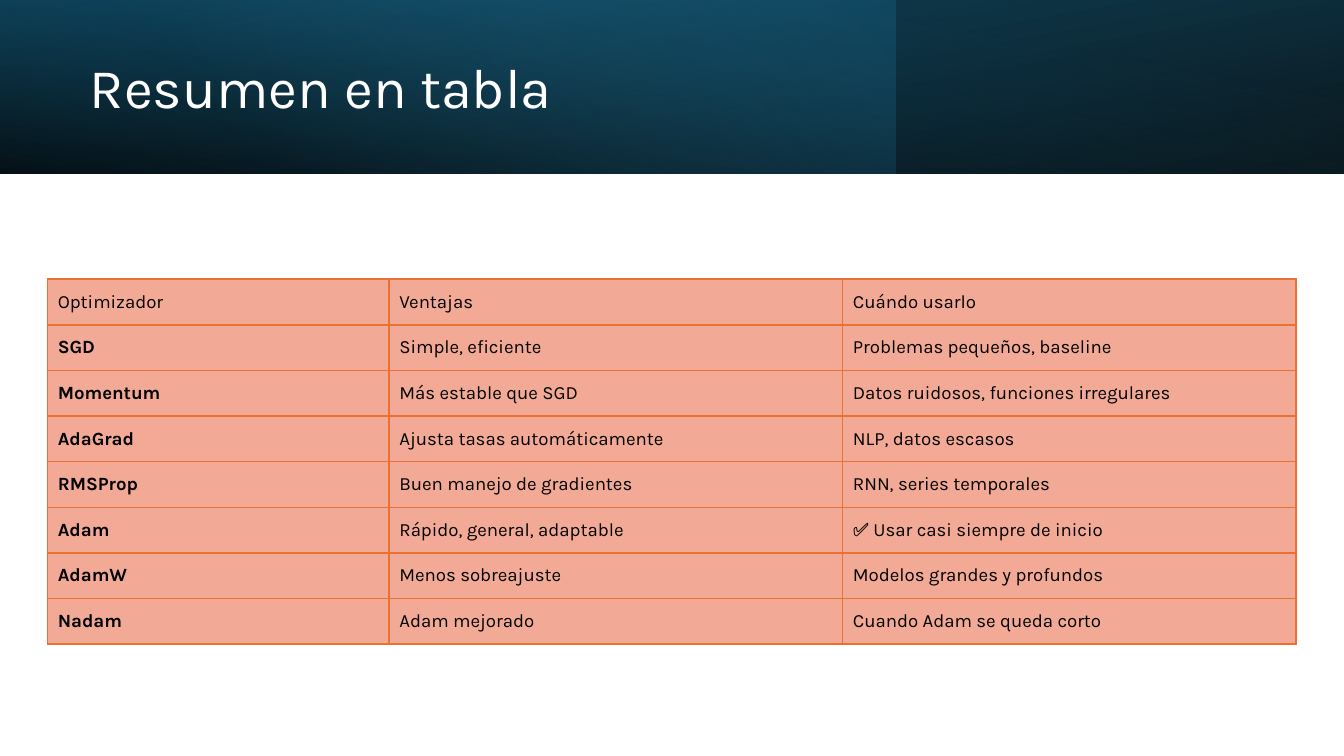
from lxml import etree
from pptx import Presentation
from pptx.dml.color import RGBColor
from pptx.enum.shapes import MSO_SHAPE
from pptx.enum.text import MSO_ANCHOR, MSO_AUTO_SIZE, PP_ALIGN
from pptx.oxml import parse_xml
from pptx.oxml.ns import nsdecls, qn
from pptx.util import Pt

FONT = "Karla"
ROWS = [
    ("Optimizador", "Ventajas", "Cuándo usarlo"),
    ("SGD", "Simple, eficiente", "Problemas pequeños, baseline"),
    ("Momentum", "Más estable que SGD", "Datos ruidosos, funciones irregulares"),
    ("AdaGrad", "Ajusta tasas automáticamente", "NLP, datos escasos"),
    ("RMSProp", "Buen manejo de gradientes", "RNN, series temporales"),
    ("Adam", "Rápido, general, adaptable", "✅ Usar casi siempre de inicio"),
    ("AdamW", "Menos sobreajuste", "Modelos grandes y profundos"),
    ("Nadam", "Adam mejorado", "Cuando Adam se queda corto"),
]


def color(code):
    return RGBColor.from_string(code)


def style(para, size, code, bold=False):
    font = para.font
    font.name, font.size, font.bold = FONT, Pt(size), bold
    font.color.rgb = color(code)


def layer(slide, box, stops, angle, turn=0, flip=False):
    """Add a rectangle with a gradient of (position, colour, opacity) stops."""
    shape = slide.shapes.add_shape(MSO_SHAPE.RECTANGLE, *map(Pt, box))
    shape.shadow.inherit = False
    shape.line.fill.background()
    shape.fill.background()
    shape.rotation = turn
    props = shape.element.spPr
    if flip:
        props.find(qn("a:xfrm")).set("flipH", "1")
    marks = "".join(
        f'<a:gs pos="{pos * 1000}"><a:srgbClr val="{code}">'
        f'<a:alpha val="{alpha * 1000}"/></a:srgbClr></a:gs>'
        for pos, code, alpha in stops)
    props.replace(props.find(qn("a:noFill")), parse_xml(
        f'<a:gradFill {nsdecls("a")} rotWithShape="1"><a:gsLst>{marks}</a:gsLst>'
        f'<a:lin ang="{angle * 60000}" scaled="0"/></a:gradFill>'))


def header(slide, box, text):
    left, top, width, height = box

    # Gradient layers
    layer(slide, box, [(0, "000000", 96), (100, "104862", 100)], 100, 180, True)
    layer(slide, (left, top, width * 2 / 3, height),
          [(0, "156082", 41), (74, "46B1E1", 0)], 140)
    layer(slide, box, [(0, "000000", 63), (78, "156082", 15)], 260, flip=True)

    # Title, brought in front of the layers
    title = slide.shapes.title
    title.left, title.top = Pt(left + 41), Pt(top + 14.4)
    title.width, title.height = Pt(417), Pt(68.4)
    frame = title.text_frame
    frame.text = text
    frame.word_wrap = True
    frame.auto_size = MSO_AUTO_SIZE.NONE
    frame.vertical_anchor = MSO_ANCHOR.MIDDLE
    para = frame.paragraphs[0]
    para.alignment = PP_ALIGN.LEFT
    para.line_spacing = 0.9
    para.space_after = Pt(6)
    style(para, 30, "FFFFFF")
    slide.shapes.element.append(title.element)


def border(cell, code):
    props = cell._tc.get_or_add_tcPr()
    for spot, side in enumerate(("lnL", "lnR", "lnT", "lnB")):
        line = etree.Element(qn(f"a:{side}"), w=str(Pt(1)))
        fill = etree.SubElement(line, qn("a:solidFill"))
        etree.SubElement(fill, qn("a:srgbClr"), val=code)
        props.insert(spot, line)


def grid(slide, box, rows, shares):
    left, top, width, height = box
    table = slide.shapes.add_table(
        len(rows), len(shares), *map(Pt, box)).table
    table.first_row = table.horz_banding = False
    for col, share in zip(table.columns, shares):
        col.width = Pt(width * share / sum(shares))
    for row, texts in zip(table.rows, rows):
        row.height = Pt(height / len(rows))
        for col, (cell, text) in enumerate(zip(row.cells, texts)):
            cell.text = text
            cell.vertical_anchor = MSO_ANCHOR.MIDDLE
            cell.margin_left = cell.margin_right = Pt(5.6)
            cell.margin_top = cell.margin_bottom = Pt(2.8)
            cell.fill.solid()
            cell.fill.fore_color.rgb = color("F2AA96")
            border(cell, "E97132")
            # Optimizer names are bold, the heading row is not
            style(cell.text_frame.paragraphs[0], 10, "000000",
                  col == 0 and texts is not rows[0])


def main():
    deck = Presentation()
    deck.slide_width, deck.slide_height = Pt(720), Pt(405)
    slide = deck.slides.add_slide(deck.slide_layouts[5])
    header(slide, (0, 0, 720, 93), "Resumen en tabla")
    grid(slide, (25.4, 149.6, 669, 195.6), ROWS, (183, 243, 243))
    deck.save("out.pptx")


if __name__ == "__main__":
    main()
